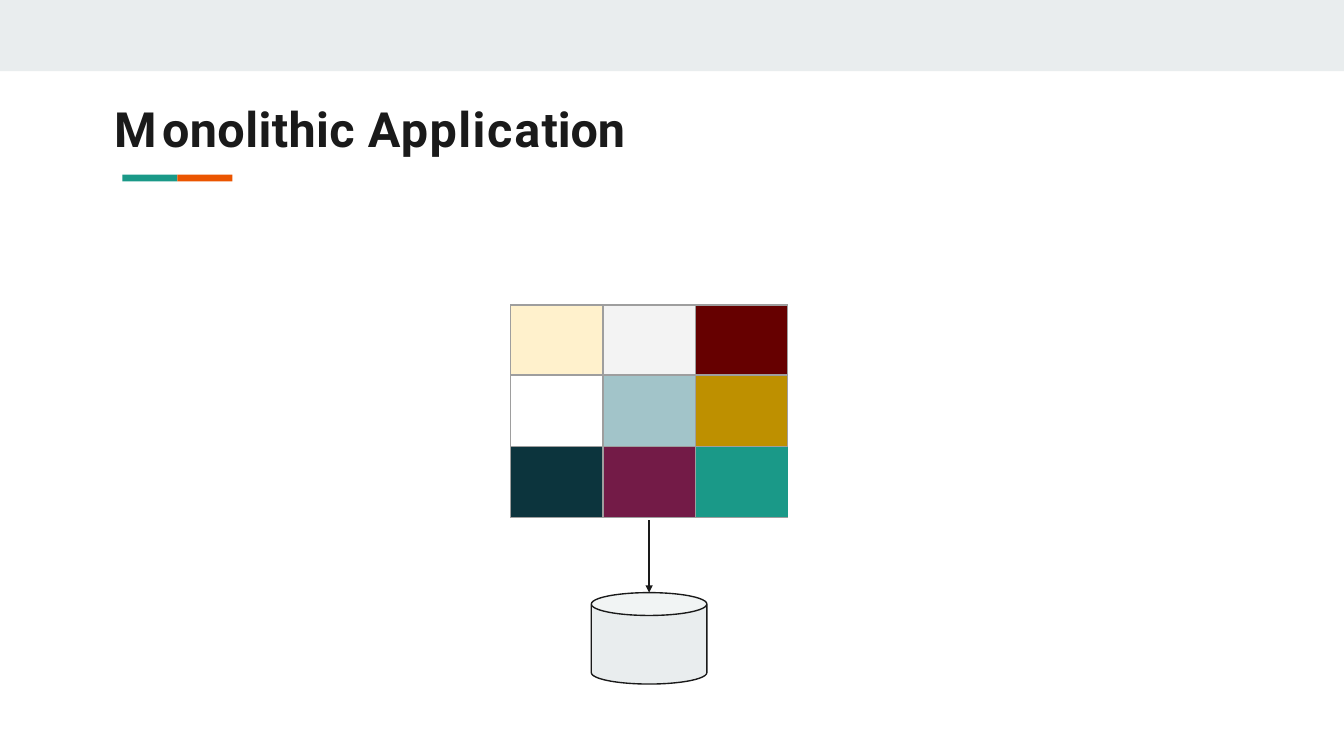
import pptx
import pptx.dml.color
import pptx.enum.shapes
import pptx.oxml
import pptx.oxml.ns
import pptx.util
from lxml import etree

Inches, Pt = pptx.util.Inches, pptx.util.Pt
SHAPE = pptx.enum.shapes.MSO_SHAPE

# Content
INK, PALE, GRID = "1A1A1A", "E9EDEE", "9E9E9E"
TITLE_FONT = {"name": "Roboto", "size": Pt(26), "bold": True}
TITLE_RUNS = [  # text, letter spacing in points
    ("M", 2.9), ("onolithic ", 0.2), ("Applic", 0.8), ("a", 0.7), ("tion", -0.1),
]
BARS = [  # left, top, width, height, fill
    (0, 0, 10, 0.53, PALE),
    (0.91, 1.3, 0.41, 0.05, "1A9988"),
    (1.32, 1.3, 0.41, 0.05, "EB5500"),
]
MODULES = [
    ["FFF1CC", "F3F3F3", "660000"],
    [None, "A2C4C9", "BE9000"],
    ["0C343D", "731B47", "1A9988"],
]
TABLE_LEFT, TABLE_TOP, TABLE_WIDTH = 3.8, 2.27, 2.06
ROW_HEIGHTS = [0.52, 0.53, 0.53]
DB_LEFT, DB_TOP, DB_WIDTH, DB_HEIGHT = 4.4, 4.41, 0.86, 0.68


def rgb(value):
    return pptx.dml.color.RGBColor.from_string(value)


def add_shape(slide, kind, left, top, width, height, fill, line=None):
    s = slide.shapes.add_shape(kind, *map(Inches, (left, top, width, height)))
    s.shadow.inherit = False
    s.fill.solid()
    s.fill.fore_color.rgb = rgb(fill)
    if line:
        s.line.color.rgb, s.line.width = rgb(line), Pt(0.75)
    else:
        s.line.fill.background()
    return s


def add_border(cell, side, color):
    ln = etree.SubElement(cell._tc.get_or_add_tcPr(), pptx.oxml.ns.qn(f"a:ln{side}"))
    if color:
        ln.set("w", str(Pt(0.75)))
        fill = etree.SubElement(ln, pptx.oxml.ns.qn("a:solidFill"))
        etree.SubElement(fill, pptx.oxml.ns.qn("a:srgbClr"), val=color)
    else:
        ln.set("w", "0")
        etree.SubElement(ln, pptx.oxml.ns.qn("a:noFill"))


# Widescreen 16:9 slide
prs = pptx.Presentation()
prs.slide_width = Inches(10)
prs.slide_height = prs.slide_width * 9 // 16
slide = prs.slides.add_slide(prs.slide_layouts[6])

# Top band and title underline
for bar in BARS:
    add_shape(slide, SHAPE.RECTANGLE, *bar)

# Title
tf = slide.shapes.add_textbox(*map(Inches, (0.85, 0.73, 3.91, 0.46))).text_frame
tf.word_wrap = True
for side, inset in {"left": 0, "top": 0.01, "right": 0, "bottom": 0}.items():
    setattr(tf, f"margin_{side}", Inches(inset))
p = tf.paragraphs[0]
for text, spacing in TITLE_RUNS:
    r = p.add_run()
    r.text = text
    for name, value in TITLE_FONT.items():
        setattr(r.font, name, value)
    r.font.color.rgb = rgb(INK)
    r._r.get_or_add_rPr().set("spc", str(round(spacing * 100)))

# Grid of modules
rows, cols = len(MODULES), len(MODULES[0])
table = slide.shapes.add_table(
    rows, cols, Inches(TABLE_LEFT), Inches(TABLE_TOP),
    Inches(TABLE_WIDTH), Inches(sum(ROW_HEIGHTS))).table
table.first_row = table.horz_banding = False
for i, (height, fills) in enumerate(zip(ROW_HEIGHTS, MODULES)):
    table.rows[i].height = Inches(height)
    for j, fill in enumerate(fills):
        cell = table.cell(i, j)
        last = (i, j) == (rows - 1, cols - 1)
        for side in "LRTB":
            add_border(cell, side, None if last and side == "R" else GRID)
        if fill:
            cell.fill.solid()
            cell.fill.fore_color.rgb = rgb(fill)
        else:
            cell.fill.background()

# Database
add_shape(slide, SHAPE.CAN, DB_LEFT, DB_TOP, DB_WIDTH, DB_HEIGHT, PALE, INK)

# Arrow from the grid to the database
x = Inches(DB_LEFT + DB_WIDTH / 2)
arrow = slide.shapes.add_connector(
    pptx.enum.shapes.MSO_CONNECTOR.STRAIGHT, x, Inches(3.87), x, Inches(DB_TOP))
arrow.line.color.rgb, arrow.line.width = rgb(INK), Pt(0.75)
etree.SubElement(arrow.line._get_or_add_ln(), pptx.oxml.ns.qn("a:tailEnd"),
                 type="triangle", w="sm", len="sm")
etree.SubElement(arrow._element.spPr, pptx.oxml.ns.qn("a:effectLst"))

prs.save("out.pptx")
